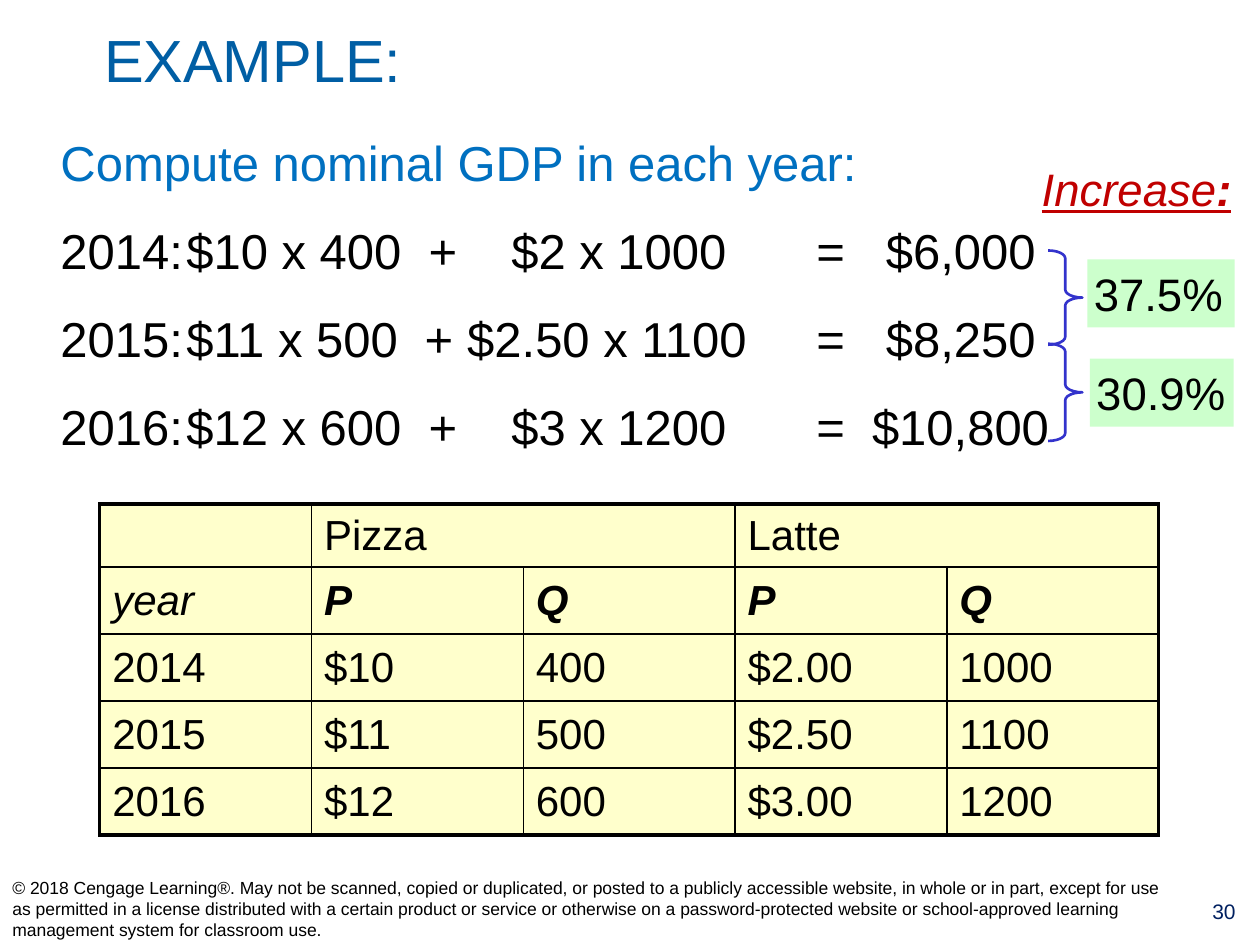
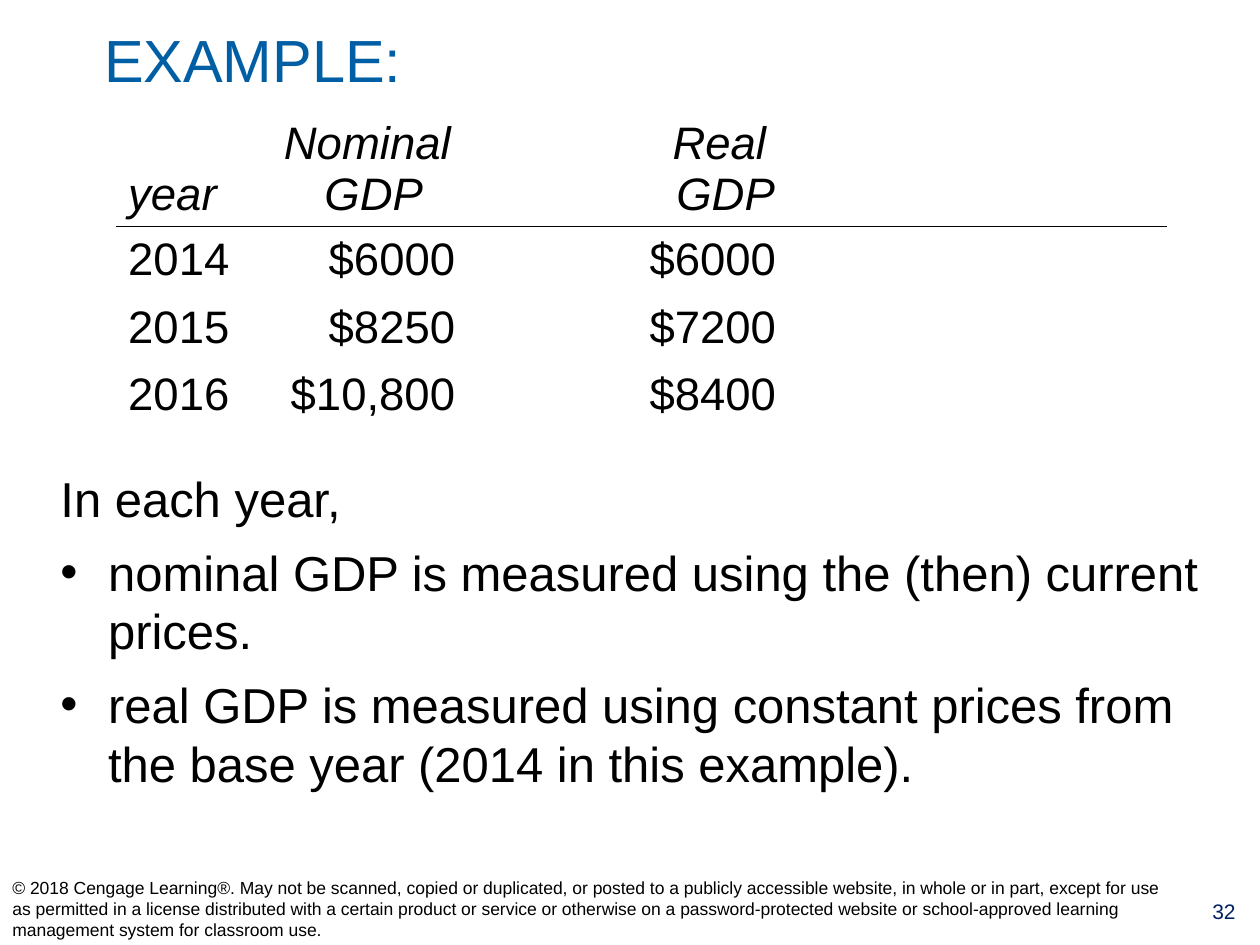
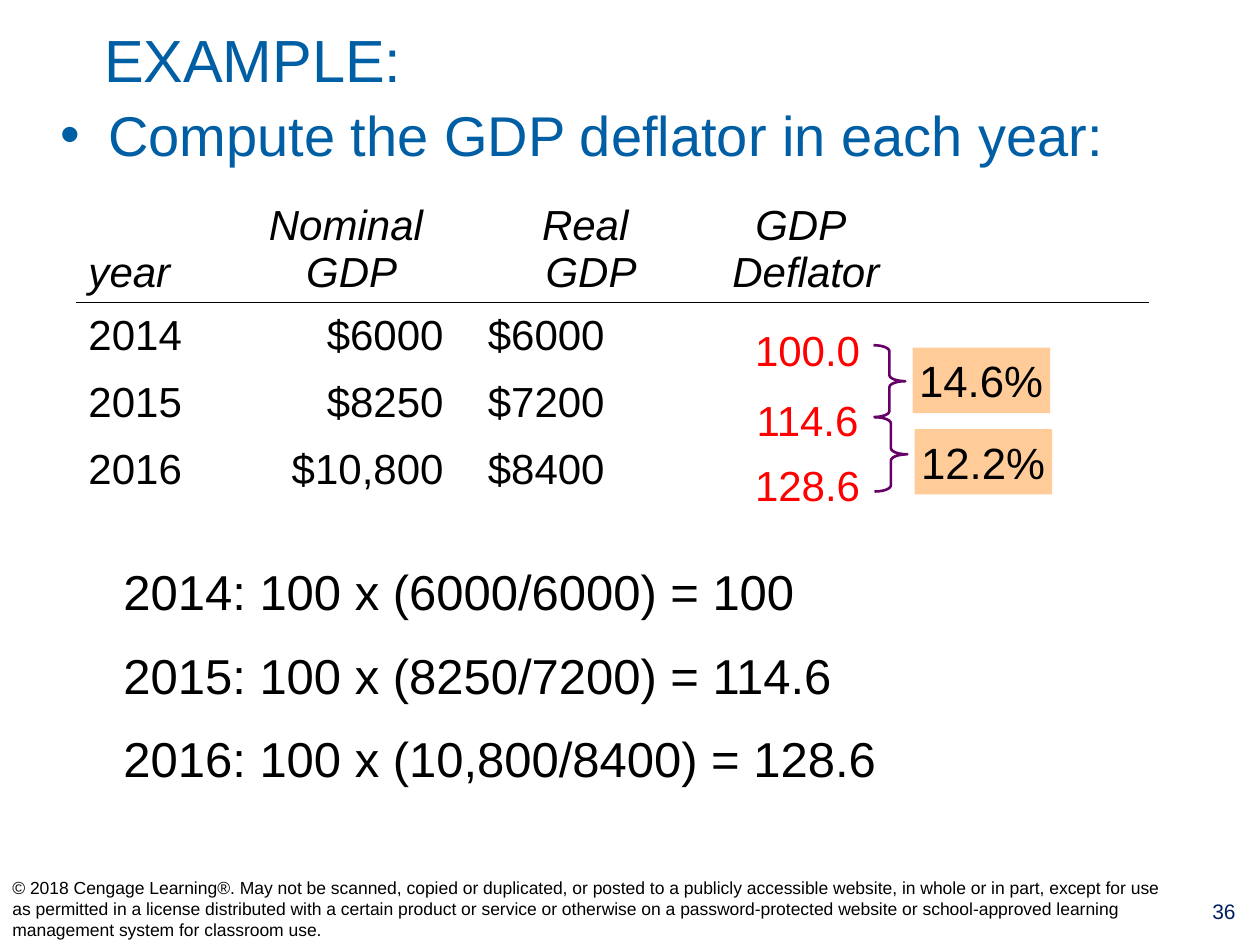
from lxml.etree import SubElement
from pptx import Presentation
from pptx.dml.color import RGBColor
from pptx.enum.shapes import MSO_SHAPE
from pptx.enum.text import MSO_ANCHOR, PP_ALIGN
from pptx.oxml.ns import qn
from pptx.util import Cm, Pt

COLORS = {
    "title": "005EA4", "lead": "0070C0", "text": "000000", "page": "002060",
    "alert": "C00000", "result": "FF0000", "cell": "FFFFCC",
    "mint": "CCFFCC", "blue": "3333CC", "peach": "FFCC99", "plum": "660066",
}
FONT = "Arial"
NO_STYLE = "{2D5ABB26-0587-4C30-8999-92F81FD0307C}"
LEFT, CENTER, RIGHT = PP_ALIGN.LEFT, PP_ALIGN.CENTER, PP_ALIGN.RIGHT
TOP, MIDDLE, BOTTOM = MSO_ANCHOR.TOP, MSO_ANCHOR.MIDDLE, MSO_ANCHOR.BOTTOM
ROW = 1.35
NOTICE = (
    "© 2018 Cengage Learning®. May not be scanned, copied or duplicated, or posted "
    "to a publicly accessible website, in whole or in part, except for use as "
    "permitted in a license distributed with a certain product or service or "
    "otherwise on a password-protected website or school-approved learning "
    "management system for classroom use."
)


def tint(name):
    return RGBColor.from_string(COLORS[name])


class Deck:
    def __init__(self):
        self.prs = Presentation()
        self.prs.slide_width, self.prs.slide_height = Cm(25.4), Cm(19.05)
        self.slide = None

    # Shared title, page number and notice
    def start(self, page):
        self.slide = self.prs.slides.add_slide(self.prs.slide_layouts[6])
        self.text((1.85, 0.27, 21.67, 1.83), ["EXAMPLE:"], 34, "title", anchor=MIDDLE)
        self.text((23.95, 17.98, 1.45, 1.04), [str(page)], 12, "page", align=CENTER)
        self.text((0, 17.58, 23.9, 1.47), [NOTICE], 10, anchor=MIDDLE)

    def style(self, para, size, color="text", bold=False, italic=False):
        for run in para.runs:
            font = run.font
            font.name, font.size = FONT, Pt(size)
            font.bold, font.italic = bold, italic
            font.color.rgb = tint(color)

    def text(self, area, lines, size, color="text", align=LEFT, anchor=TOP, gap=0):
        box = self.slide.shapes.add_textbox(*map(Cm, area))
        frame = box.text_frame
        frame.word_wrap = True
        frame.vertical_anchor = anchor
        for i, line in enumerate(lines):
            para = frame.paragraphs[0] if i == 0 else frame.add_paragraph()
            para.text = line
            para.alignment = align
            if i and gap:
                para.space_before = Pt(gap)
            self.style(para, size, color)
        return frame.paragraphs

    def bullet(self, para, indent=0.96):
        props = para._p.get_or_add_pPr()
        props.set("marL", str(Cm(indent)))
        props.set("indent", str(Cm(-indent)))
        SubElement(props, qn("a:buFont"), typeface=FONT)
        SubElement(props, qn("a:buChar"), char="•")

    def tabs(self, para, stops):
        stop_list = SubElement(para._p.get_or_add_pPr(), qn("a:tabLst"))
        for stop in stops:
            SubElement(stop_list, qn("a:tab"), pos=str(Cm(stop)), algn="l")

    # Brace beside the growth rate
    def growth(self, rate, box, brace, size, fill, line, bend):
        shapes = self.slide.shapes.add_group_shape().shapes
        label = shapes.add_shape(MSO_SHAPE.RECTANGLE, *map(Cm, box))
        label.fill.solid()
        label.fill.fore_color.rgb = tint(fill)
        label.line.fill.background()
        frame = label.text_frame
        frame.margin_left = frame.margin_right = Cm(0.13)
        frame.margin_top = frame.margin_bottom = Cm(0.13)
        frame.word_wrap = False
        frame.text = rate
        frame.paragraphs[0].alignment = LEFT
        self.style(frame.paragraphs[0], size)
        curve = shapes.add_shape(MSO_SHAPE.RIGHT_BRACE, *map(Cm, brace))
        curve.adjustments[0] = bend
        curve.fill.background()
        curve.line.color.rgb = tint(line)
        curve.line.width = Pt(1.5)
        for shape in (label, curve):
            shape.shadow.inherit = False

    def grid(self, spot, widths, heights):
        frame = self.slide.shapes.add_table(
            len(heights), len(widths), *map(Cm, spot),
            Cm(sum(widths)), Cm(sum(heights)))
        table = frame.table
        table.first_row = table.horz_banding = False
        for style in frame.element.iter(qn("a:tableStyleId")):
            style.text = NO_STYLE
        for col, width in zip(table.columns, widths):
            col.width = Cm(width)
        for row, height in zip(table.rows, heights):
            row.height = Cm(height)
        return table

    def cell(self, cell, text, size, align=LEFT, anchor=MIDDLE, fill=None, **look):
        para = cell.text_frame.paragraphs[0]
        para.text = text
        para.alignment = align
        self.style(para, size, **look)
        cell.vertical_anchor = anchor
        if fill:
            cell.fill.solid()
            cell.fill.fore_color.rgb = tint(fill)
        else:
            cell.fill.background()

    # Sides that are not named get no line
    def border(self, cell, sides):
        props = cell._tc.get_or_add_tcPr()
        for side in "LRTB":
            line = SubElement(props, qn("a:ln" + side))
            if side in sides:
                line.set("w", str(Pt(sides[side])))
                solid = SubElement(line, qn("a:solidFill"))
                SubElement(solid, qn("a:srgbClr"), val=COLORS["text"])
            else:
                SubElement(line, qn("a:noFill"))

    # Price and quantity table with a heavy frame
    def prices(self, spot, rows):
        last, end = len(rows) - 1, len(rows[0]) - 1
        table = self.grid(spot, [4.27] * (end + 1), [1.27] + [ROW] * last)
        for r, row in enumerate(rows):
            for c, text in enumerate(row):
                cell = table.cell(r, c)
                edge = c == end or (r == 0 and c == end - 1)
                self.border(cell, {
                    "L": 1 if c else 2.25, "R": 2.25 if edge else 1,
                    "T": 1 if r else 2.25, "B": 2.25 if r == last else 1})
                self.cell(cell, text, 24, fill="cell", italic=r == 1,
                          bold=r == 1 and c > 0)
        for c in (1, 3):
            table.cell(0, c).merge(table.cell(0, c + 1))

    # Open table with one rule below its header
    def totals(self, spot, widths, head, rows, size):
        table = self.grid(spot, widths, [head] + [ROW] * (len(rows) - 1))
        rules = [{"B": 1}, {"T": 1}]
        for r, row in enumerate(rows):
            for c, text in enumerate(row):
                cell = table.cell(r, c)
                self.border(cell, rules[r] if r < 2 else {})
                if r == 0:
                    self.cell(cell, text, size, CENTER if c else LEFT, BOTTOM, italic=True)
                else:
                    self.cell(cell, text, size, RIGHT if c == 1 else LEFT)
                    if c == 1:
                        cell.margin_right = Cm(0.64)


def nominal(deck):
    deck.start(30)
    sums = [
        (("2014:", "$10 x 400", "+", "$2 x 1000", "=", "$6,000"), (7.42, 9.09, 16.64)),
        (("2015:", "$11 x 500", "+", "$2.50 x 1100", "=", "$8,250"), (7.34, 8.2, 16.64)),
        (("2016:", "$12 x 600", "+", "$3 x 1200", "=", "$10,800"), (7.42, 9.09, 16.36)),
    ]
    lines = ["Compute nominal GDP in each year:"]
    lines += ["\t".join(parts) for parts, _ in sums]
    lead, *paras = deck.text((0.97, 2.54, 23.67, 7.3), lines, 28, gap=16.8)
    deck.style(lead, 28, "lead")
    for para, (_, (plus, second, total)) in zip(paras, sums):
        deck.tabs(para, (2.54, plus, second, 15.24, total))

    deck.prices((2.01, 10.16), [
        ("", "Pizza", "", "Latte", ""),
        ("year", "P", "Q", "P", "Q"),
        ("2014", "$10", "400", "$2.00", "1000"),
        ("2015", "$11", "500", "$2.50", "1100"),
        ("2016", "$12", "600", "$3.00", "1200"),
    ])

    label = deck.text((20.75, 3.12, 4.34, 1.35), ["Increase"], 26, "alert")[0]
    label.add_run().text = ":"
    deck.style(label, 26, "alert", italic=True)
    for run in label.runs:
        run.font.underline = True
    label.runs[1].font.bold = True
    look = (26, "mint", "blue", 0.23)
    deck.growth("37.5%", (21.92, 5.23, 2.97, 1.37), (21.13, 5.05, 0.69, 1.9), *look)
    deck.growth("30.9%", (21.97, 7.23, 2.9, 1.37), (21.13, 6.93, 0.69, 1.96), *look)


def compare(deck):
    deck.start(32)
    paras = deck.text((0.97, 9.32, 23.67, 8.1), [
        "In each year,",
        "nominal GDP is measured using the (then) current prices.",
        "real GDP is measured using constant prices from the base year "
        "(2014 in this example).",
    ], 28, gap=8.4)
    for para in paras[1:]:
        deck.bullet(para)
    deck.totals((2.33, 2.11), (2.92, 4.57, 3.02, 3.58, 7.11), 2.41, [
        ("year", "Nominal \nGDP", "", "Real \nGDP", ""),
        ("2014", "$6000", "", "$6000", ""),
        ("2015", "$8250", "", "$7200", ""),
        ("2016", "$10,800", "", "$8400", ""),
    ], 26)


def deflate(deck):
    deck.start(36)
    lead = deck.text((0.97, 1.91, 23.67, 1.7),
                     ["Compute the GDP deflator in each year:"], 32, "title")
    deck.bullet(lead[0])
    deck.text((2.24, 11.2, 22.4, 6.2), [
        "2014: 100 x (6000/6000) = 100",
        "2015: 100 x (8250/7200) = 114.6",
        "2016: 100 x (10,800/8400) = 128.6",
    ], 28, gap=14)
    deck.totals((1.53, 3.81), (3.07, 4.98, 4.67, 3.99, 4.93), 2.21, [
        ("year", "Nominal \nGDP", "Real \nGDP", "GDP \nDeflator", ""),
        ("2014", "$6000", "$6000", "", ""),
        ("2015", "$8250", "$7200", "", ""),
        ("2016", "$10,800", "$8400", "", ""),
    ], 24)
    for top, value in ((6.45, "100.0"), (7.85, "114.6"), (9.17, "128.6")):
        deck.text((14.73, top, 3.1, 1.22), [value], 24, "result", CENTER, MIDDLE)
    look = (25, "peach", "plum", 0.19)
    deck.growth("14.6%", (18.4, 7.01, 2.77, 1.32), (17.61, 6.96, 0.64, 1.45), *look)
    deck.growth("12.2%", (18.44, 8.65, 2.77, 1.32), (17.63, 8.41, 0.66, 1.5), *look)


def main():
    deck = Deck()
    for build in (nominal, compare, deflate):
        build(deck)
    deck.prs.save("out.pptx")


if __name__ == "__main__":
    main()
